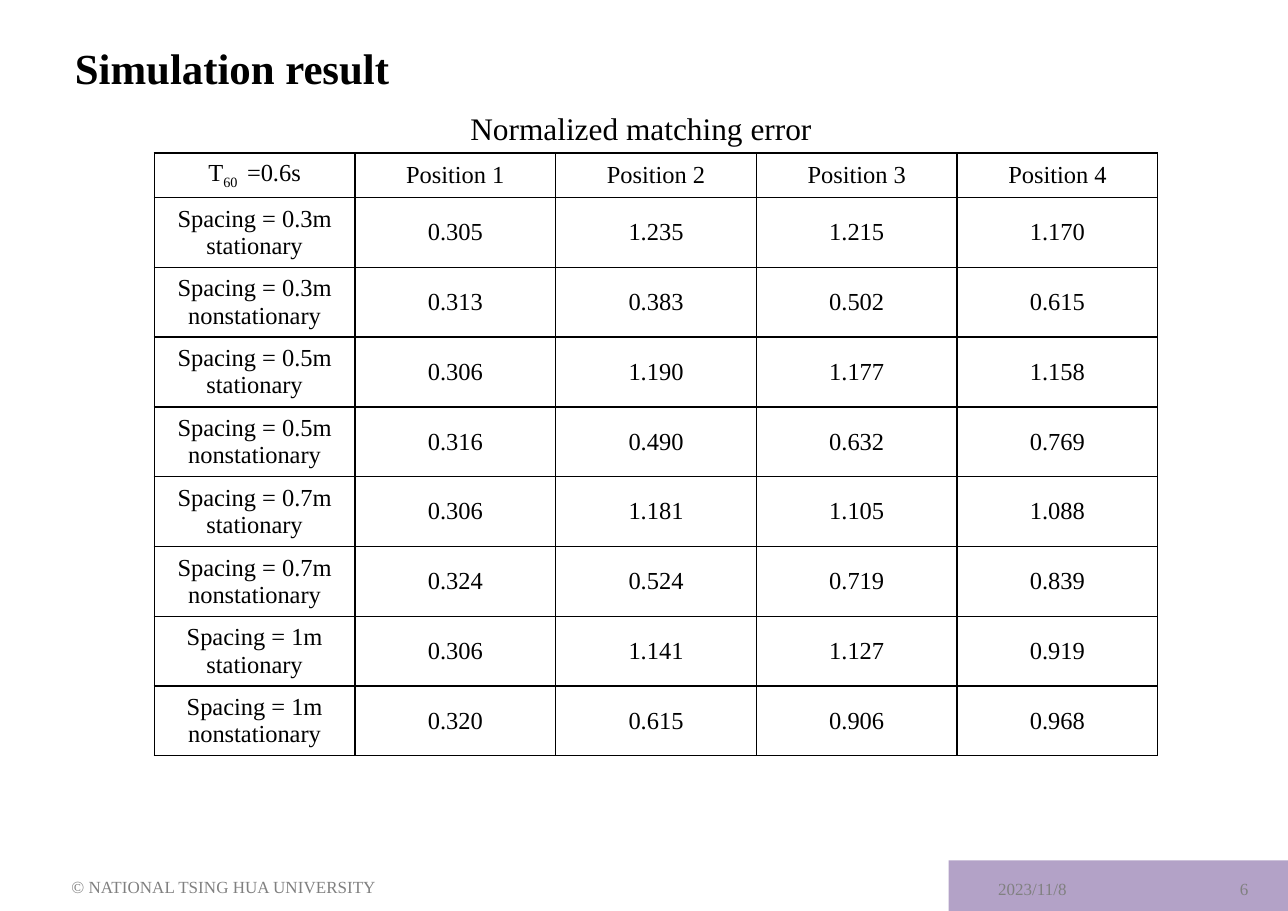
from dataclasses import dataclass

from lxml import etree
from pptx import Presentation
from pptx.dml.color import RGBColor
from pptx.enum.shapes import MSO_SHAPE
from pptx.enum.text import MSO_ANCHOR, PP_ALIGN
from pptx.oxml.ns import qn
from pptx.util import Inches, Pt

LEFT, CENTER, RIGHT = PP_ALIGN.LEFT, PP_ALIGN.CENTER, PP_ALIGN.RIGHT
MIDDLE, TOP = MSO_ANCHOR.MIDDLE, MSO_ANCHOR.TOP
RECTANGLE = MSO_SHAPE.RECTANGLE
TITLE_ONLY = 5


@dataclass(frozen=True)
class Theme:
    font: str = "Times New Roman"
    ink: str = "000000"
    muted: str = "808080"
    band: str = "B3A2C7"
    title_size: float = 28
    caption_size: float = 20.5
    table_size: float = 16
    footer_size: float = 11.1
    border_width: float = 1


THEME = Theme()
POSITIONS = ["Position 1", "Position 2", "Position 3", "Position 4"]
SPACINGS = ["0.3m", "0.5m", "0.7m", "1m"]
SIGNALS = ["stationary", "nonstationary"]
ERRORS = [
    ["0.305", "1.235", "1.215", "1.170"],
    ["0.313", "0.383", "0.502", "0.615"],
    ["0.306", "1.190", "1.177", "1.158"],
    ["0.316", "0.490", "0.632", "0.769"],
    ["0.306", "1.181", "1.105", "1.088"],
    ["0.324", "0.524", "0.719", "0.839"],
    ["0.306", "1.141", "1.127", "0.919"],
    ["0.320", "0.615", "0.906", "0.968"],
]


def add_span(para, text, size, color=THEME.ink, bold=False):
    span = para.add_run()
    span.text = text
    span.font.name = THEME.font
    span.font.size = Pt(size)
    span.font.bold = bold
    span.font.color.rgb = RGBColor.from_string(color)
    return span


def add_label(page, box, text, size, color, align=LEFT, anchor=MIDDLE, wrap=True):
    frame = page.shapes.add_textbox(*map(Inches, box)).text_frame
    frame.word_wrap = wrap
    frame.vertical_anchor = anchor
    para = frame.paragraphs[0]
    para.alignment = align
    add_span(para, text, size, color)


def place_title(page, box, text):
    title = page.shapes.title
    title.left, title.top, title.width, title.height = map(Inches, box)
    title.text_frame.vertical_anchor = MIDDLE
    para = title.text_frame.paragraphs[0]
    para.alignment = LEFT
    para.line_spacing = Pt(36.9)
    add_span(para, text, THEME.title_size, bold=True)


def add_borders(cell):
    properties = cell._tc.get_or_add_tcPr()
    for side in ("a:lnL", "a:lnR", "a:lnT", "a:lnB"):
        line = etree.SubElement(properties, qn(side), w=str(Pt(THEME.border_width)))
        fill = etree.SubElement(line, qn("a:solidFill"))
        etree.SubElement(fill, qn("a:srgbClr"), val=THEME.ink)


def fill_cell(cell, lines):
    """Write one centred paragraph for each line."""
    add_borders(cell)
    cell.fill.background()
    cell.vertical_anchor = MIDDLE
    frame = cell.text_frame
    for index, line in enumerate(lines):
        para = frame.add_paragraph() if index else frame.paragraphs[0]
        para.alignment = CENTER
        add_span(para, line, THEME.table_size)


def add_error_table(page, box, header_height):
    left, top, width, height = box
    labels = [[f"Spacing = {spacing}", signal] for spacing in SPACINGS for signal in SIGNALS]
    rows = [[["T"]] + [[name] for name in POSITIONS]]
    rows += [[label] + [[value] for value in values] for label, values in zip(labels, ERRORS)]

    table = page.shapes.add_table(len(rows), len(rows[0]), *map(Inches, box)).table
    table.first_row = table.horz_banding = False
    for column in table.columns:
        column.width = Inches(width / len(rows[0]))
    for index, row in enumerate(table.rows):
        body_height = (height - header_height) / len(ERRORS)
        row.height = Inches(body_height if index else header_height)
        for cell, lines in zip(row.cells, rows[index]):
            fill_cell(cell, lines)

    reverberation = table.cell(0, 0).text_frame.paragraphs[0]
    subscript = add_span(reverberation, "60 ", THEME.table_size)
    subscript.font._element.set("baseline", "-25000")
    add_span(reverberation, " =0.6s", THEME.table_size)


def add_footer(page, box):
    left, top, width, height = box
    band_left = 8.61
    band = page.shapes.add_shape(
        RECTANGLE, Inches(band_left), Inches(top), Inches(left + width - band_left), Inches(height))
    band.shadow.inherit = False
    band.fill.solid()
    band.fill.fore_color.rgb = RGBColor.from_string(THEME.band)
    band.line.fill.background()
    for x, drop, label_width, text, align in (
        (0.55, 0.04, 3.19, "© NATIONAL TSING HUA UNIVERSITY", LEFT),
        (8.96, 0.06, 1.38, "2023/11/8", LEFT),
        (10.52, 0.06, 0.91, "6", RIGHT),
    ):
        add_label(page, (left + x, top + drop, label_width, 0.39), text,
                  THEME.footer_size, THEME.muted, align)


def build_result_page(deck):
    page = deck.slides.add_slide(deck.slide_layouts[TITLE_ONLY])
    add_footer(page, (0, 7.81, 11.69, 0.46))
    place_title(page, (0.58, 0.24, 7.79, 0.69), "Simulation result")
    add_error_table(page, (1.4, 1.39, 9.11, 5.14), header_height=0.39)
    add_label(page, (4.17, 0.94, 3.35, 0.45), "Normalized matching error",
              THEME.caption_size, THEME.ink, anchor=TOP, wrap=False)


def main():
    deck = Presentation()
    deck.slide_width, deck.slide_height = Inches(11.69), Inches(8.27)
    build_result_page(deck)
    deck.save("out.pptx")


if __name__ == "__main__":
    main()
